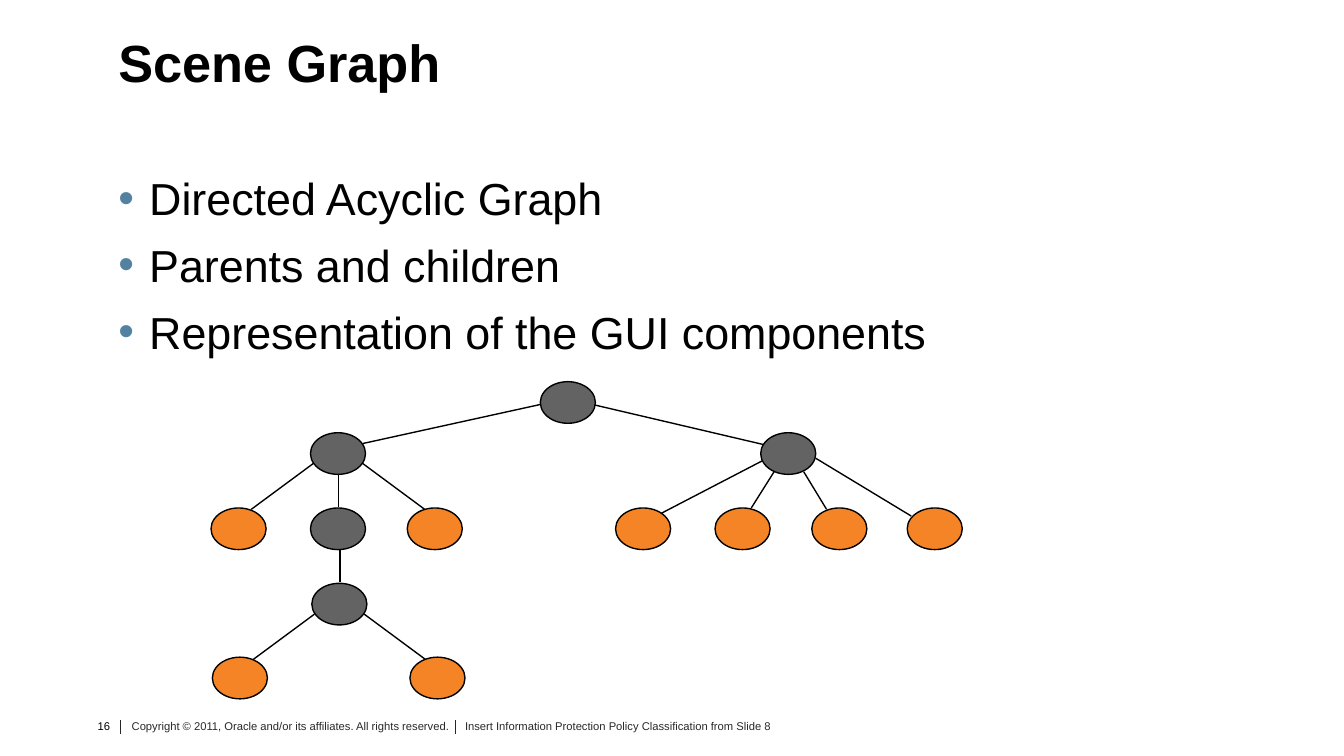
from lxml import etree
from pptx import Presentation
from pptx import util as u
from pptx.dml.color import RGBColor
from pptx.enum import shapes, text
from pptx.oxml import ns

BLACK = RGBColor(0x00, 0x00, 0x00)
FOOTER_TEXT = RGBColor(0x29, 0x29, 0x29)
FOOTER_RULE = RGBColor(0x26, 0x26, 0x26)
BULLET = RGBColor(0x53, 0x82, 0xA1)
BRANCH = RGBColor(0x63, 0x63, 0x63)
LEAF = RGBColor(0xF4, 0x84, 0x26)

FONT = "Arial"
SLIDE_WIDTH = u.Inches(10)
SLIDE_HEIGHT = SLIDE_WIDTH * 9 // 16
NODE_SIZE = (0.41, 0.31)
LEVELS = [0, 0.38, 0.94, 1.5, 2.05]

# Nodes: level, left edges within the tree box, fill
NODES = [
    (0, [2.45], BRANCH),
    (1, [0.74, 4.09], BRANCH),
    (2, [0.74], BRANCH),
    (2, [0, 1.46, 3.01, 3.75, 4.47, 5.18], LEAF),
    (3, [0.75], BRANCH),
    (4, [0.01, 1.48], LEAF),
]

# Edges from parent to child: x1, y1, x2, y2 within the tree box
EDGES = [
    (2.45, 0.17, 1.13, 0.46), (2.84, 0.17, 4.12, 0.47),
    (0.76, 0.61, 0.3, 0.95), (0.95, 0.69, 0.95, 0.93), (1.13, 0.61, 1.59, 0.95),
    (4.1, 0.59, 3.35, 0.98), (4.19, 0.67, 4.02, 0.94),
    (4.41, 0.67, 4.58, 0.95), (4.5, 0.57, 5.21, 1.0),
    (0.96, 1.25, 0.96, 1.49),
    (0.77, 1.73, 0.31, 2.07), (1.14, 1.73, 1.6, 2.07),
]


def place(shape, box):
    shape.left, shape.top, shape.width, shape.height = (u.Inches(n) for n in box)


def write(frame, lines, size, color=BLACK, bold=False, align=text.PP_ALIGN.LEFT,
          anchor=text.MSO_ANCHOR.TOP, insets=(0, 0), wrap=True,
          bullet=None, before=0, after=0):
    frame.word_wrap = wrap
    frame.auto_size = text.MSO_AUTO_SIZE.NONE
    frame.vertical_anchor = anchor
    frame.margin_left = frame.margin_right = u.Inches(insets[0])
    frame.margin_top = frame.margin_bottom = u.Inches(insets[1])
    for i, line in enumerate(lines):
        paragraph = frame.paragraphs[0] if i == 0 else frame.add_paragraph()
        paragraph.text = line
        if bullet:
            add_bullet(paragraph, bullet)
        paragraph.alignment = align
        paragraph.space_before = u.Pt(before if i else 0)
        paragraph.space_after = u.Pt(after)
        font = paragraph.font
        font.name, font.size, font.bold = FONT, u.Pt(size), bold
        font.color.rgb = color


def add_bullet(paragraph, color, indent=0.23):
    props = paragraph._p.get_or_add_pPr()
    props.set("marL", str(u.Inches(indent)))
    props.set("indent", str(-u.Inches(indent)))
    bullet_color = etree.SubElement(props, ns.qn("a:buClr"))
    etree.SubElement(bullet_color, ns.qn("a:srgbClr"), val=str(color))
    etree.SubElement(props, ns.qn("a:buFont"), typeface=FONT)
    etree.SubElement(props, ns.qn("a:buChar"), char="•")


def add_line(slide, x1, y1, x2, y2, color=BLACK, width=0.75):
    line = slide.shapes.add_connector(
        shapes.MSO_CONNECTOR.STRAIGHT, *(u.Inches(n) for n in (x1, y1, x2, y2)))
    line.line.color.rgb = color
    line.line.width = u.Pt(width)
    etree.SubElement(line._element.spPr, ns.qn("a:effectLst"))


def add_heading(slide, box):
    heading = slide.shapes.title
    place(heading, box)
    write(heading.text_frame, ["Scene Graph"], size=28, bold=True,
          anchor=text.MSO_ANCHOR.MIDDLE)


def add_points(slide, box):
    points = slide.placeholders[1]
    place(points, box)
    write(points.text_frame,
          ["Directed Acyclic Graph", "Parents and children",
           "Representation of the GUI components"],
          size=24, bullet=BULLET, before=5, after=2)


def add_tree(slide, left, top):
    for x1, y1, x2, y2 in EDGES:
        add_line(slide, left + x1, top + y1, left + x2, top + y2)
    for level, columns, fill in NODES:
        for x in columns:
            node = slide.shapes.add_shape(shapes.MSO_SHAPE.OVAL, 0, 0, 0, 0)
            place(node, (left + x, top + LEVELS[level], *NODE_SIZE))
            node.shadow.inherit = False
            node.fill.solid()
            node.fill.fore_color.rgb = fill
            node.line.color.rgb = BLACK
            node.line.width = u.Pt(0.75)


def add_footer(slide, left, top, height):
    # Offset, width, text, colour, alignment
    parts = [
        (0, 0.17, "16", BLACK, text.PP_ALIGN.RIGHT),
        (0.25, 2.44, "Copyright © 2011, Oracle and/or its affiliates. "
         "All rights reserved.", FOOTER_TEXT, text.PP_ALIGN.LEFT),
        (2.73, 2.47, "Insert Information Protection Policy Classification "
         "from Slide 8", FOOTER_TEXT, text.PP_ALIGN.LEFT),
    ]
    for x, width, words, color, align in parts:
        note = slide.shapes.add_textbox(0, 0, 0, 0)
        place(note, (left + x, top, width, height))
        write(note.text_frame, [words], size=6, color=color, align=align,
              insets=(0.04, 0.02), wrap=False)
    # Dividers
    for x in (0.21, 2.7):
        add_line(slide, left + x, top + 0.03, left + x, top + 0.13,
                 color=FOOTER_RULE, width=0.5)


def main():
    deck = Presentation()
    deck.slide_width, deck.slide_height = SLIDE_WIDTH, SLIDE_HEIGHT
    slide = deck.slides.add_slide(deck.slide_layouts[1])
    add_footer(slide, 0.69, 5.33, 0.24)
    add_heading(slide, (0.88, 0.22, 8.89, 0.47))
    add_points(slide, (0.88, 1.27, 8.65, 3.61))
    add_tree(slide, 1.57, 2.84)
    deck.save("out.pptx")


if __name__ == "__main__":
    main()
